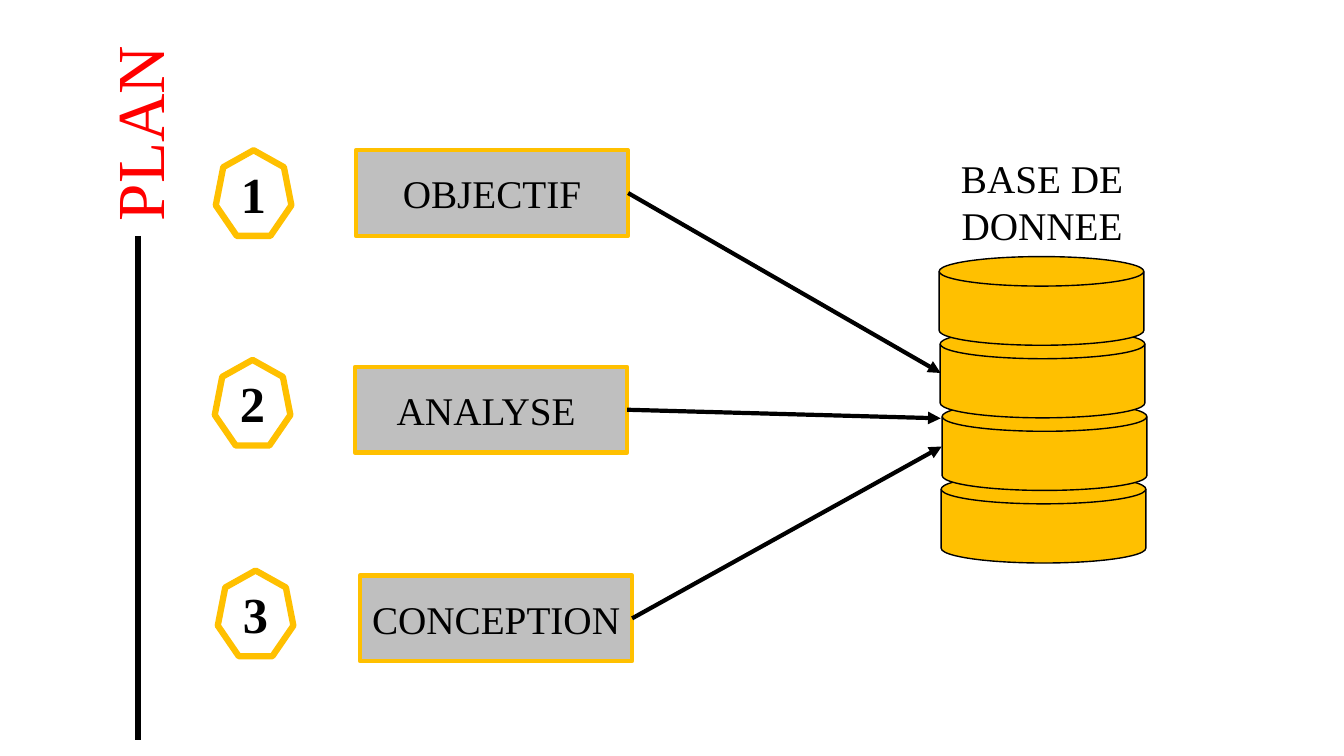
import pptx
import pptx.util
import pptx.dml.color
import pptx.enum.shapes
import pptx.enum.text
import pptx.oxml.ns
import lxml.etree

Inches = pptx.util.Inches
Pt = pptx.util.Pt
RGBColor = pptx.dml.color.RGBColor
SHAPE = pptx.enum.shapes.MSO_SHAPE
ANCHOR = pptx.enum.text.MSO_ANCHOR
qn = pptx.oxml.ns.qn

BLACK = RGBColor(0, 0, 0)
WHITE = RGBColor(255, 255, 255)
RED = RGBColor(255, 0, 0)
GOLD = RGBColor(255, 192, 0)
GREY = RGBColor(191, 191, 191)
FONT = "Times New Roman"

TITLE = "PLAN"
STORE_LABEL = "BASE DE DONNEE"
STEPS = [
    {"name": "OBJECTIF", "badge": (2.14, 1.49), "box": (3.53, 1.49), "target": (9.33, 3.7)},
    {"name": "ANALYSE ", "badge": (2.13, 3.57), "box": (3.52, 3.64), "target": (9.33, 4.15)},
    {"name": "CONCEPTION", "badge": (2.16, 5.66), "box": (3.57, 5.71), "target": (9.34, 4.43)},
]
BOX_SIZE = (2.7, 0.85)
BADGE_SIZE = (0.75, 0.85)
DRUM_SIZE = (0.88, 2.03)
DRUM_LEFTS = [9.89, 9.9, 9.92, 9.91]
DRUM_TOP, DRUM_STEP = 1.97, 0.72

presentation = pptx.Presentation()
presentation.slide_width = Inches(13.33)
presentation.slide_height = Inches(7.5)
slide = presentation.slides.add_slide(presentation.slide_layouts[5])


def write_text(shape, text, size=28, color=BLACK, bold=False, anchor=ANCHOR.MIDDLE):
    frame = shape.text_frame
    frame.word_wrap = True
    frame.auto_size = pptx.enum.text.MSO_AUTO_SIZE.NONE
    frame.vertical_anchor = anchor
    paragraph = frame.paragraphs[0]
    paragraph.alignment = pptx.enum.text.PP_ALIGN.CENTER
    run = paragraph.add_run()
    run.text = text
    run.font.name = FONT
    run.font.size = Pt(size)
    run.font.bold = bold
    run.font.color.rgb = color


def add_shape(kind, position, size, fill, line, width):
    shape = slide.shapes.add_shape(kind, *map(Inches, position + size))
    shape.shadow.inherit = False
    shape.fill.solid()
    shape.fill.fore_color.rgb = fill
    shape.line.color.rgb = line
    shape.line.width = Pt(width)
    return shape


def add_line(start, end, width, arrow=False):
    connector = slide.shapes.add_connector(
        pptx.enum.shapes.MSO_CONNECTOR.STRAIGHT, *map(Inches, start + end))
    connector.line.color.rgb = BLACK
    connector.line.width = Pt(width)
    if arrow:
        outline = connector.line._get_or_add_ln()
        lxml.etree.SubElement(outline, qn("a:tailEnd"), type="triangle")
    lxml.etree.SubElement(connector._element.spPr, qn("a:effectLst"))


title = slide.shapes.title
title.left, title.top, title.width, title.height = map(Inches, (0.35, 1.15, 2.03, 0.35))
title.rotation = 270
write_text(title, TITLE, size=48, color=RED)
add_line((1.37, 2.34), (1.37, 7.34), 4.5)

for level, left in reversed(list(enumerate(DRUM_LEFTS))):
    drum = add_shape(SHAPE.FLOWCHART_DIRECT_ACCESS_STORAGE,
                     (left, DRUM_TOP + level * DRUM_STEP), DRUM_SIZE, GOLD, BLACK, 1)
    drum.rotation = 270

for number, step in enumerate(STEPS, 1):
    box = add_shape(SHAPE.RECTANGLE, step["box"], BOX_SIZE, GREY, GOLD, 3)
    write_text(box, step["name"])
    badge = add_shape(SHAPE.HEPTAGON, step["badge"], BADGE_SIZE, WHITE, GOLD, 4.5)
    write_text(badge, str(number), size=36, bold=True)
    left, top = step["box"]
    start = (left + BOX_SIZE[0], top + BOX_SIZE[1] / 2)
    add_line(start, step["target"], 3, arrow=True)

label = slide.shapes.add_textbox(*map(Inches, (9.3, 1.48, 2.07, 1.04)))
write_text(label, STORE_LABEL, anchor=ANCHOR.TOP)

presentation.save("out.pptx")
